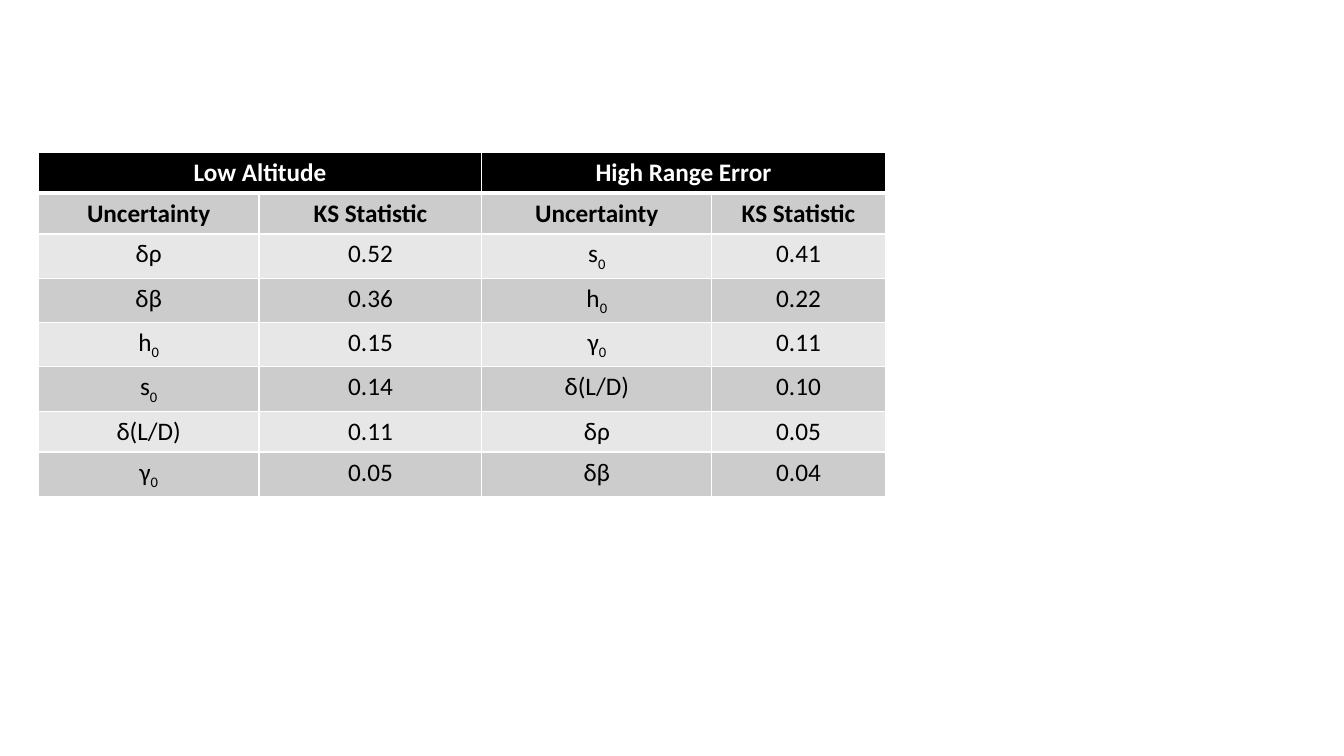
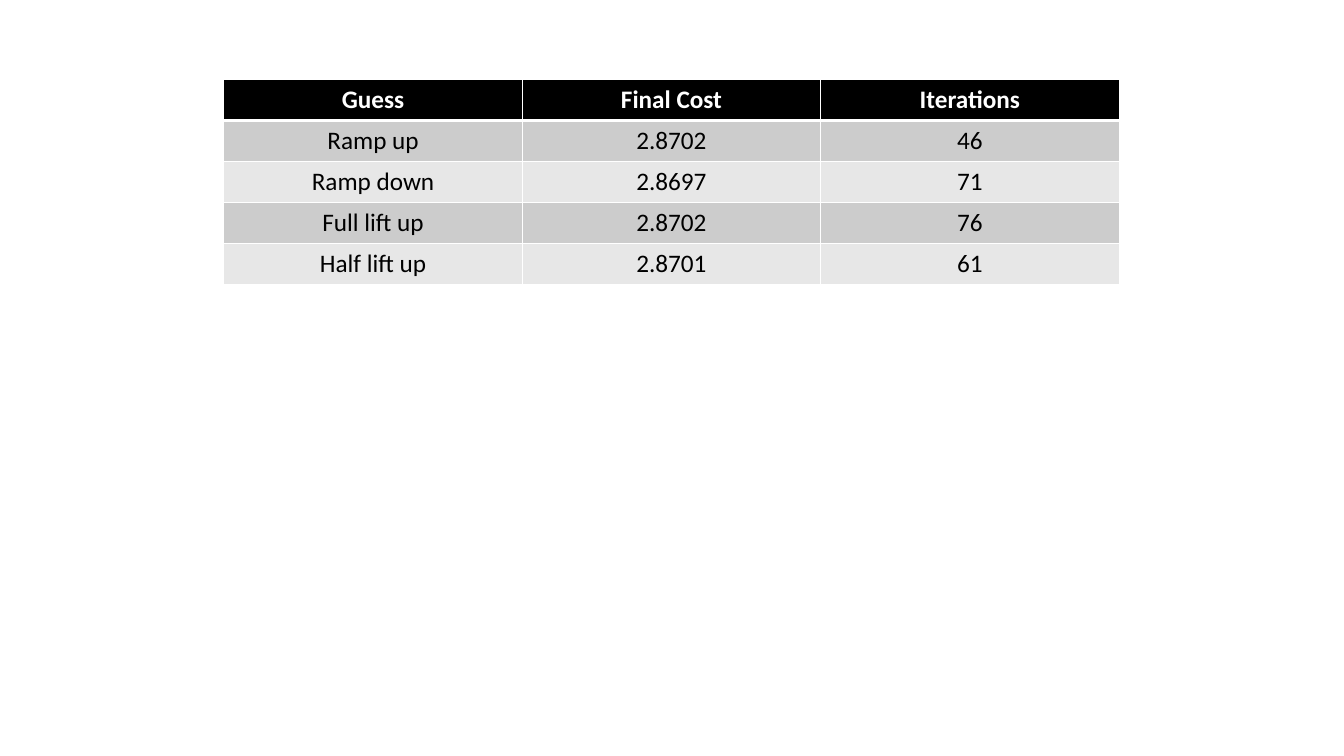
import pptx
import pptx.util
import pptx.dml.color
import pptx.enum.text
import pptx.oxml.ns
import lxml.etree

Inches = pptx.util.Inches
Pt = pptx.util.Pt

COLORS = {
    "header": "000000",
    "header_text": "FFFFFF",
    "body_text": "000000",
    "dark_band": "CCCCCC",
    "light_band": "E7E7E7",
    "grid": "FFFFFF",
}
FONT = "Calibri"
TEXT_SIZE = 18
GRID_WIDTH = 1
HEADER_RULE_WIDTH = 3

UNCERTAINTY_ROWS = [
    ["Low Altitude", None, "High Range Error", None],
    ["Uncertainty", "KS Statistic", "Uncertainty", "KS Statistic"],
    ["δρ", "0.52", "s_0", "0.41"],
    ["δβ", "0.36", "h_0", "0.22"],
    ["h_0", "0.15", "γ_0", "0.11"],
    ["s_0", "0.14", "δ(L/D)", "0.10"],
    ["δ(L/D)", "0.11", "δρ", "0.05"],
    ["γ_0", "0.05", "δβ", "0.04"],
]
GUESS_ROWS = [
    ["Guess", "Final Cost", "Iterations"],
    ["Ramp up", "2.8702", "46"],
    ["Ramp down", "2.8697", "71"],
    ["Full lift up", "2.8702", "76"],
    ["Half lift up", "2.8701", "61"],
]


def rgb(name):
    return pptx.dml.color.RGBColor.from_string(COLORS[name])


def set_borders(cell, top, bottom):
    properties = cell._tc.get_or_add_tcPr()
    widths = {"lnL": GRID_WIDTH, "lnR": GRID_WIDTH, "lnT": top, "lnB": bottom}
    for position, (side, width) in enumerate(widths.items()):
        line = lxml.etree.Element(pptx.oxml.ns.qn(f"a:{side}"), w=str(Pt(width)))
        fill = lxml.etree.SubElement(line, pptx.oxml.ns.qn("a:solidFill"))
        lxml.etree.SubElement(fill, pptx.oxml.ns.qn("a:srgbClr"), val=COLORS["grid"])
        properties.insert(position, line)


def write_label(cell, label, color, bold):
    base, _, subscript = label.partition("_")
    paragraph = cell.text_frame.paragraphs[0]
    paragraph.text = base
    paragraph.alignment = pptx.enum.text.PP_ALIGN.CENTER
    if subscript:
        index = paragraph.add_run()
        index.text = subscript
        index.font._element.set("baseline", "-25000")
    for run in paragraph.runs:
        run.font.name = FONT
        run.font.size = Pt(TEXT_SIZE)
        run.font.bold = bold
        run.font.color.rgb = rgb(color)


def add_banded_table(slide, box, column_widths, rows, bold_rows):
    left, top, width, height = (Inches(value) for value in box)
    table = slide.shapes.add_table(
        len(rows), len(column_widths), left, top, width, height
    ).table
    for column, column_width in zip(table.columns, column_widths):
        column.width = Inches(column_width)
    for r, labels in enumerate(rows):
        is_header = r == 0
        band = "header" if is_header else "dark_band" if r % 2 else "light_band"
        color = "header_text" if is_header else "body_text"
        for c, label in enumerate(labels):
            cell = table.cell(r, c)
            cell.fill.solid()
            cell.fill.fore_color.rgb = rgb(band)
            set_borders(
                cell,
                HEADER_RULE_WIDTH if r == 1 else GRID_WIDTH,
                HEADER_RULE_WIDTH if is_header else GRID_WIDTH,
            )
            if label is None:
                table.cell(r, c - 1).merge(cell)
            else:
                write_label(cell, label, color, r < bold_rows)


def main():
    deck = pptx.Presentation()
    deck.slide_width = Inches(13.33)
    deck.slide_height = Inches(7.5)
    blank = deck.slide_layouts[6]
    add_banded_table(
        deck.slides.add_slide(blank), (0.38, 1.51, 8.4, 3.22),
        [2.19, 2.21, 2.28, 1.72], UNCERTAINTY_ROWS, bold_rows=2,
    )
    add_banded_table(
        deck.slides.add_slide(blank), (2.22, 0.79, 8.88, 2.03),
        [2.96] * 3, GUESS_ROWS, bold_rows=1,
    )
    deck.save("out.pptx")


if __name__ == "__main__":
    main()
